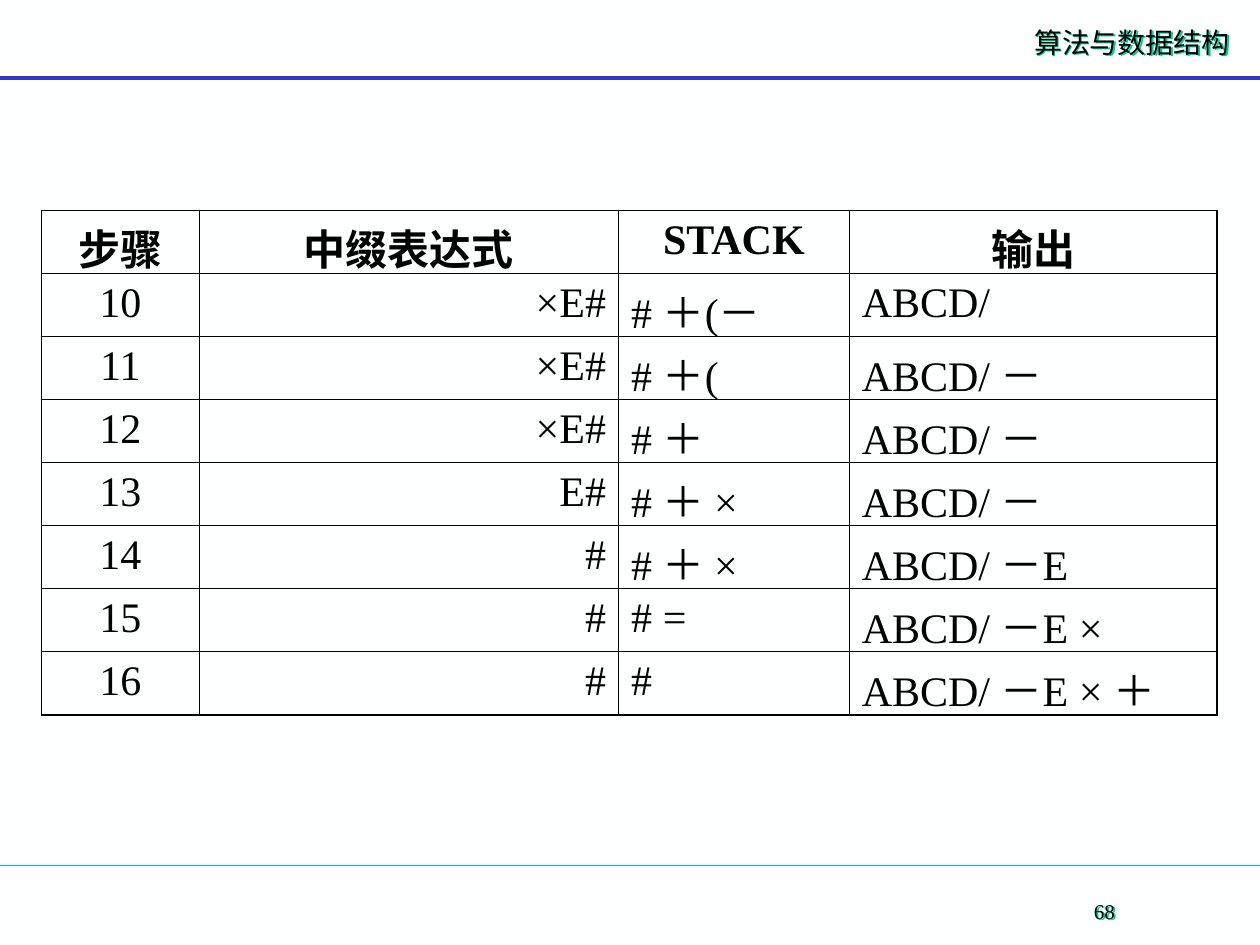
import lxml.etree
import pptx
import pptx.dml.color
import pptx.enum.lang
import pptx.enum.shapes
import pptx.enum.text
import pptx.oxml
import pptx.oxml.ns
import pptx.util

Inches = pptx.util.Inches
Pt = pptx.util.Pt
RGBColor = pptx.dml.color.RGBColor
ALIGN = pptx.enum.text.PP_ALIGN

BACKGROUND = RGBColor(0xFE, 0xFF, 0xFF)
BLACK = RGBColor(0x00, 0x00, 0x00)
BLUE = RGBColor(0x33, 0x33, 0xCC)
GREEN = RGBColor(0x00, 0xCC, 0x99)
FONT = "Times New Roman"
WIDTH, HEIGHT = 10, 7.5
THIN, THICK = 0.45, 1.08

COLUMN_WIDTHS = (1.25, 3.33, 1.83, 2.92)
ROW_HEIGHT = 0.5
COLUMN_ALIGNS = (ALIGN.CENTER, ALIGN.RIGHT, ALIGN.LEFT, ALIGN.LEFT)
HEADINGS = ("步骤", "中缀表达式", "STACK", "输出")
STEPS = (
    ("10", "×E#", "# ＋(－", "ABCD/"),
    ("11", "×E#", "# ＋(", "ABCD/ －"),
    ("12", "×E#", "# ＋", "ABCD/ －"),
    ("13", "E#", "# ＋ ×", "ABCD/ －"),
    ("14", "#", "# ＋ ×", "ABCD/ －E"),
    ("15", "#", "# =", "ABCD/ －E ×"),
    ("16", "#", "#", "ABCD/ －E × ＋"),
)


def add_element(parent, tag, **attributes):
    return lxml.etree.SubElement(parent, pptx.oxml.ns.qn(tag), attributes)


def write_text(frame, text, size, align, bold=False):
    para = frame.paragraphs[0]
    para.alignment = align
    span = para.add_run()
    span.text = text
    span.font.name = FONT
    span.font.size = Pt(size)
    span.font.bold = bold
    span.font.color.rgb = BLACK
    span.font.language_id = pptx.enum.lang.MSO_LANGUAGE_ID.SIMPLIFIED_CHINESE


def add_rule(page, top, color, weight):
    """Draw a horizontal line across the whole page."""
    rule = page.shapes.add_connector(
        pptx.enum.shapes.MSO_CONNECTOR.STRAIGHT,
        0, Inches(top), Inches(WIDTH), Inches(top))
    rule.line.color.rgb = color
    rule.line.width = Pt(weight)
    add_element(rule._element.spPr, "a:effectLst")


def add_shadowed_label(page, bounds, text, size, align):
    box = page.shapes.add_textbox(*(Inches(length) for length in bounds))
    box.text_frame.word_wrap = True
    write_text(box.text_frame, text, size, align)
    effects = add_element(box._element.spPr, "a:effectLst")
    shadow = add_element(effects, "a:outerShdw", dist=str(Pt(1.4)),
                         dir="2700000", algn="ctr", rotWithShape="0")
    add_element(shadow, "a:srgbClr", val=str(GREEN))


def set_borders(cell, weights):
    """Set the left, right, top and bottom border widths in points."""
    properties = cell._tc.get_or_add_tcPr()
    for position, (side, weight) in enumerate(zip("LRTB", weights)):
        border = pptx.oxml.parse_xml(
            f'<a:ln{side} {pptx.oxml.ns.nsdecls("a")} w="{Pt(weight)}">'
            f'<a:solidFill><a:srgbClr val="{BLACK}"/></a:solidFill></a:ln{side}>')
        properties.insert(position, border)


def add_steps_table(page, left, top):
    rows = (HEADINGS,) + STEPS
    last_row, last_column = len(rows) - 1, len(HEADINGS) - 1
    table = page.shapes.add_table(
        len(rows), len(HEADINGS), Inches(left), Inches(top),
        Inches(sum(COLUMN_WIDTHS)), Inches(ROW_HEIGHT * len(rows))).table
    table.first_row = table.horz_banding = False
    for column, width in zip(table.columns, COLUMN_WIDTHS):
        column.width = Inches(width)
    for r, texts in enumerate(rows):
        table.rows[r].height = Inches(ROW_HEIGHT)
        for c, text in enumerate(texts):
            cell = table.cell(r, c)
            cell.fill.background()
            heading = r == 0
            align = ALIGN.CENTER if heading else COLUMN_ALIGNS[c]
            write_text(cell.text_frame, text, 24, align, heading)
            heavy = (c == 0, c == last_column,
                     heading and text != "STACK", r == last_row)
            set_borders(cell, [THICK if edge else THIN for edge in heavy])


def main():
    deck = pptx.Presentation()
    deck.slide_width, deck.slide_height = Inches(WIDTH), Inches(HEIGHT)
    page = deck.slides.add_slide(deck.slide_layouts[6])
    page.background.fill.solid()
    page.background.fill.fore_color.rgb = BACKGROUND
    add_rule(page, 6.87, GREEN, 0.75)
    add_rule(page, 0.62, BLUE, 2.25)
    add_shadowed_label(page, (8.11, 0.15, 1.77, 0.37), "算法与数据结构", 16, ALIGN.LEFT)
    add_shadowed_label(page, (8.09, 7.08, 1.35, 0.3), "68", 12, ALIGN.CENTER)
    add_steps_table(page, 0.33, 1.67)
    deck.save("out.pptx")


if __name__ == "__main__":
    main()
